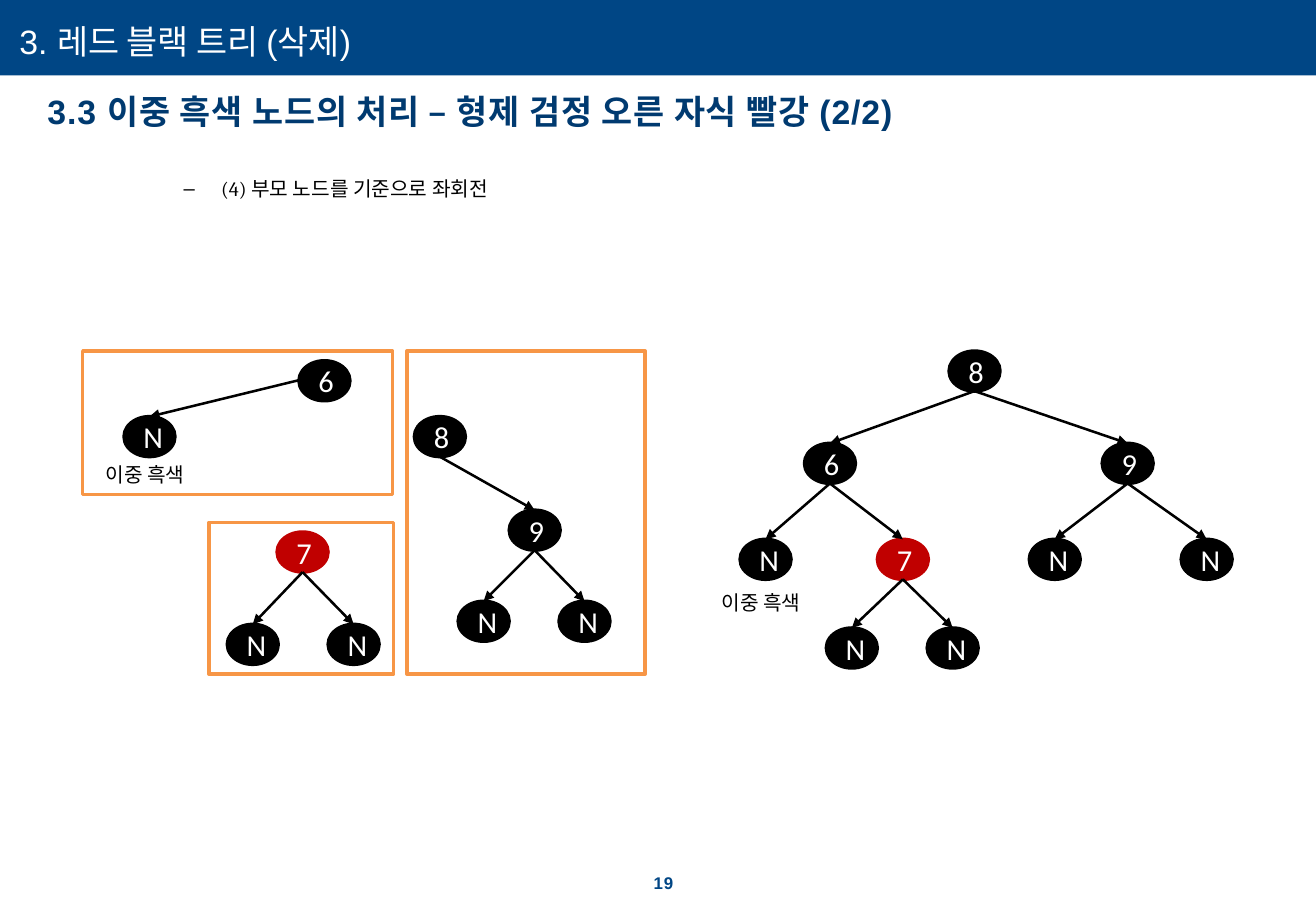
from dataclasses import dataclass

from pptx import Presentation
from pptx import util as u
from pptx.dml.color import RGBColor
from pptx.enum import shapes, text
from pptx.oxml.ns import qn
from lxml import etree

PX = 9144


@dataclass(frozen=True)
class Theme:
    bar: str = "004685"
    head: str = "003A70"
    ink: str = "000000"
    pale: str = "FFFFFF"
    red: str = "C00000"
    frame: str = "F79646"
    big: int = 20
    key: int = 18
    note: int = 12
    small: int = 10
    sans: str = "Arial"
    serif: str = "Cambria"
    plain: str = "Calibri"


@dataclass(frozen=True)
class Box:
    x: int
    y: int
    w: int
    h: int


@dataclass(frozen=True)
class Node:
    key: str
    x: int
    y: int
    kids: tuple = ()
    red: bool = False
    side: bool = False


THEME = Theme()
WIDE, HIGH = 42, 33

TREES = (
    Node("6", 246, 297, (Node("N", 102, 343),), side=True),
    Node("7", 228, 438, (Node("N", 187, 514), Node("N", 270, 514)), red=True),
    Node("8", 341, 343, (
        Node("9", 419, 420, (Node("N", 377, 495), Node("N", 460, 495))),
    )),
    Node("8", 781, 289, (
        Node("6", 662, 365, (
            Node("N", 609, 444),
            Node("7", 722, 444, (Node("N", 680, 517), Node("N", 763, 517)), red=True),
        )),
        Node("9", 907, 365, (Node("N", 847, 444), Node("N", 972, 444))),
    )),
)
FRAMES = (Box(68, 289, 255, 118), Box(172, 430, 152, 125), Box(335, 289, 196, 266))
LABELS = (Box(77, 376, 91, 30), Box(584, 481, 91, 30))


def px(n: int) -> u.Emu:
    return u.Emu(n * PX)


def span(box: Box) -> tuple:
    return px(box.x), px(box.y), px(box.w), px(box.h)


def place(shape, box: Box) -> None:
    shape.left, shape.top, shape.width, shape.height = span(box)


def style(para, face: str, size: int, hue: str, bold: bool = False, gap: int = 0) -> None:
    font = para.font
    font.name, font.size, font.bold = face, u.Pt(size), bold
    font.color.rgb = RGBColor.from_string(hue)
    if gap:
        font._element.set("spc", str(gap))


def trim(frame) -> None:
    frame.margin_left = frame.margin_right = 0
    frame.margin_top = frame.margin_bottom = 0
    frame.vertical_anchor = text.MSO_ANCHOR.TOP
    frame.word_wrap = True
    frame.auto_size = text.MSO_AUTO_SIZE.NONE


def write(slide, box: Box, words: str):
    frame = slide.shapes.add_textbox(*span(box)).text_frame
    trim(frame)
    frame.text = words
    return frame.paragraphs[0]


def shade(slide, kind, box: Box, fill: str = "", line: str = ""):
    shape = slide.shapes.add_shape(kind, *span(box))
    shape.shadow.inherit = False
    if fill:
        shape.fill.solid()
        shape.fill.fore_color.rgb = RGBColor.from_string(fill)
    else:
        shape.fill.background()
    if line:
        shape.line.color.rgb = RGBColor.from_string(line)
        shape.line.width = u.Pt(2)
    else:
        shape.line.fill.background()
    return shape


def link(slide, node: Node, kid: Node, shape) -> None:
    x, y = (node.x, node.y + HIGH // 2) if node.side else (node.x + WIDE // 2, node.y + HIGH)
    line = slide.shapes.add_connector(
        shapes.MSO_CONNECTOR.STRAIGHT, px(x), px(y), px(kid.x + WIDE // 2), px(kid.y))
    line.end_connect(shape, 0)
    line.line.color.rgb = RGBColor.from_string(THEME.ink)
    line.line.width = u.Pt(1.5)
    etree.SubElement(line.line._get_or_add_ln(), qn("a:tailEnd"), type="triangle")
    etree.SubElement(line._element.spPr, qn("a:effectLst"))


def grow(slide, node: Node):
    hue = THEME.red if node.red else THEME.ink
    shape = shade(slide, shapes.MSO_SHAPE.OVAL, Box(node.x, node.y, WIDE, HIGH), hue, hue)
    frame = shape.text_frame
    frame.text = node.key
    frame.vertical_anchor = text.MSO_ANCHOR.MIDDLE
    para = frame.paragraphs[0]
    para.alignment = text.PP_ALIGN.CENTER
    style(para, THEME.plain, THEME.key, THEME.pale)
    for kid in node.kids:
        link(slide, node, kid, grow(slide, kid))
    return shape


def banner(slide) -> None:
    bar = shade(slide, shapes.MSO_SHAPE.RECTANGLE, Box(0, 0, 1083, 62), THEME.bar)
    slide.shapes._spTree.insert(2, bar._element)
    title = slide.shapes.title
    place(title, Box(16, 17, 537, 34))
    trim(title.text_frame)
    title.text_frame.text = "3. 레드 블랙 트리 (삭제)"
    para = title.text_frame.paragraphs[0]
    para.alignment = text.PP_ALIGN.LEFT
    style(para, THEME.sans, THEME.big, THEME.pale)
    para = write(slide, Box(39, 75, 741, 67),
                 "3.3 이중 흑색 노드의 처리 – 형제 검정 오른 자식 빨강 (2/2)")
    style(para, THEME.sans, THEME.big, THEME.head, True, 50)


def step(slide) -> None:
    body = slide.placeholders[1]
    place(body, Box(113, 130, 912, 292))
    frame = body.text_frame
    frame.auto_size = text.MSO_AUTO_SIZE.NONE
    frame.text = "(4) 부모 노드를 기준으로 좌회전"
    para = frame.paragraphs[0]
    para.level = 1
    para.line_spacing = 1.5
    para.space_before = u.Pt(0)
    props = para._p.get_or_add_pPr()
    props.set("marL", str(px(59)))
    props.set("indent", str(px(-31)))
    etree.SubElement(props, qn("a:buChar"), char="–")
    style(para, THEME.serif, THEME.note, THEME.ink)


def label(slide, box: Box) -> None:
    frame = slide.shapes.add_textbox(*span(box)).text_frame
    frame.word_wrap = False
    frame.auto_size = text.MSO_AUTO_SIZE.SHAPE_TO_FIT_TEXT
    frame.text = "이중 흑색"
    style(frame.paragraphs[0], THEME.plain, THEME.note, THEME.ink)


def main() -> None:
    deck = Presentation()
    deck.slide_width, deck.slide_height = px(1083), px(750)
    slide = deck.slides.add_slide(deck.slide_layouts[1])
    banner(slide)
    step(slide)
    for tree in TREES:
        grow(slide, tree)
    for box in FRAMES:
        shade(slide, shapes.MSO_SHAPE.RECTANGLE, box, line=THEME.frame)
    for box in LABELS:
        label(slide, box)
    page = write(slide, Box(538, 720, 19, 15), "19")
    page.line_spacing = u.Pt(10.9)
    style(page, THEME.sans, THEME.small, THEME.bar, True, 50)
    deck.save("out.pptx")


if __name__ == "__main__":
    main()
